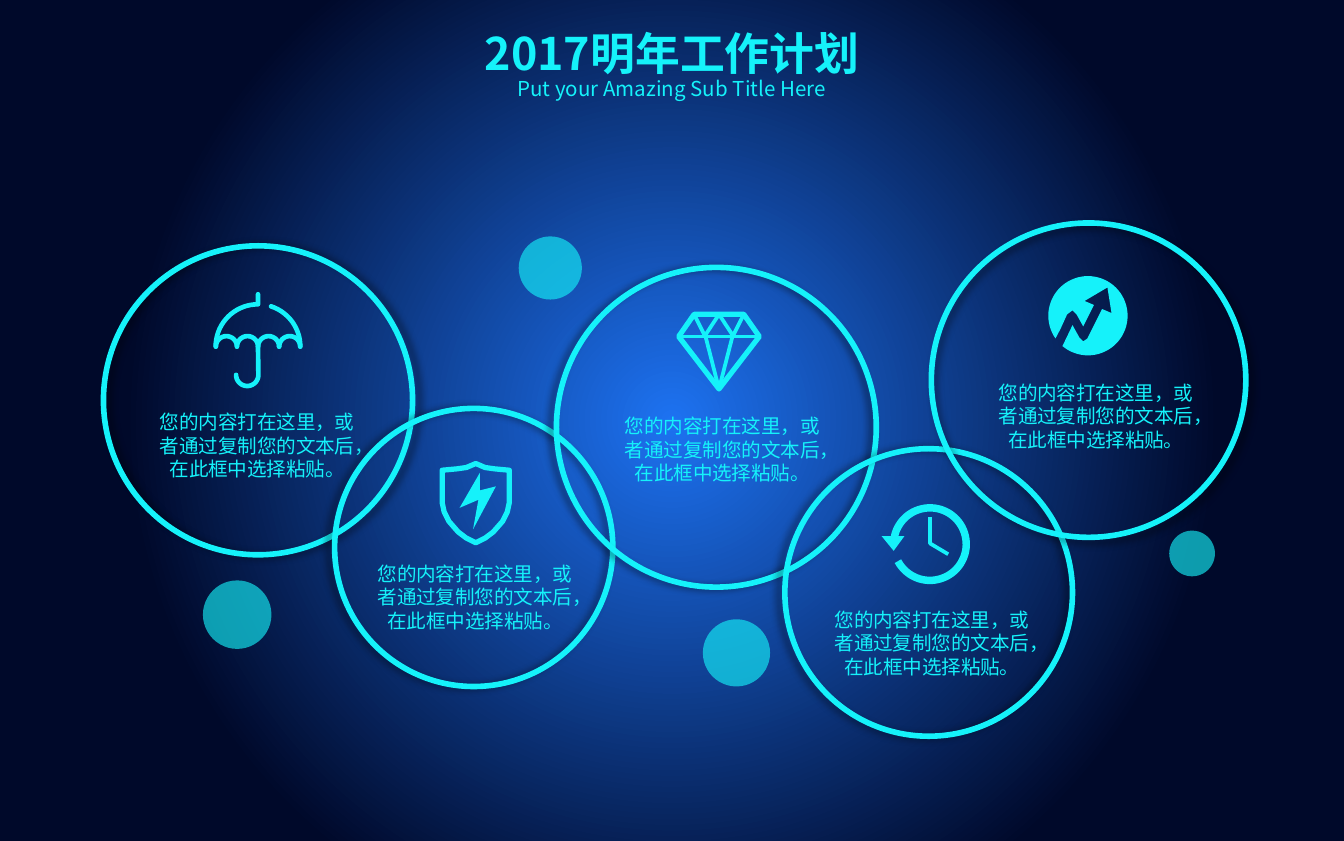
import math

from lxml import etree
from pptx import Presentation
from pptx.dml.color import RGBColor
from pptx.enum import shapes as kinds, text as align
from pptx.oxml import ns
from pptx.util import Inches, Pt

COLORS = {"cyan": "15F2FA", "glow": "1D72F1", "night": "00092A", "shadow": "000000"}
FONT = "Noto Sans CJK SC"
GOAL_TEXT = "您的内容打在这里，或者通过复制您的文本后，在此框中选择粘贴。"
LABEL_WIDTH, LABEL_HEIGHT = 1.77, 0.63


def rgb(name):
    return RGBColor.from_string(COLORS[name])


def add_xml(parent, tag, **attributes):
    return etree.SubElement(parent, ns.qn(tag), attributes)


def place(shape, left, top, width, height):
    shape.left, shape.top = Inches(left), Inches(top)
    shape.width, shape.height = Inches(width), Inches(height)


def write_text(shape, text, size, bold=False, inset=0.0, spacing=None):
    frame = shape.text_frame
    frame.word_wrap = True
    frame.auto_size = align.MSO_AUTO_SIZE.NONE
    frame.vertical_anchor = align.MSO_ANCHOR.MIDDLE
    frame.margin_left = frame.margin_right = Inches(inset)
    frame.margin_top = frame.margin_bottom = Inches(inset / 2)
    paragraph = frame.paragraphs[0]
    paragraph.alignment = align.PP_ALIGN.CENTER
    if spacing:
        paragraph.line_spacing = Pt(spacing)
    run = paragraph.add_run()
    run.text = text
    run.font.size, run.font.bold = Pt(size), bold
    run.font.color.rgb = rgb("cyan")
    run.font.name = FONT
    add_xml(run.font._element, "a:ea", typeface=FONT)


def add_circle(canvas, left, top, size):
    circle = canvas.add_shape(kinds.MSO_SHAPE.OVAL, Inches(left), Inches(top),
                              Inches(size), Inches(size))
    circle.shadow.inherit = False
    return circle


def add_outline(canvas, left, top, contours, stroke=None, cap="flat"):
    """Draw contours relative to (left, top): filled, or open lines if stroke is set."""
    def emu(points):
        return [(Inches(left + x), Inches(top + y)) for x, y in points]

    builder = None
    for contour in contours:
        first, *rest = emu(contour)
        if builder is None:
            builder = canvas.build_freeform(*first)
        else:
            builder.move_to(*first)
        builder.add_line_segments(rest, close=stroke is None)
    outline = builder.convert_to_shape()
    outline.shadow.inherit = False
    if stroke is None:
        outline.fill.solid()
        outline.fill.fore_color.rgb = rgb("cyan")
        outline.line.fill.background()
    else:
        outline.fill.background()
        outline.line.color.rgb = rgb("cyan")
        outline.line.width = Pt(stroke)
        line = outline.line._get_or_add_ln()
        line.set("cap", cap)
        add_xml(line, "a:round")


def arc(x, y, radius, start, end):
    steps = max(12, abs(end - start) // 5)
    angles = [math.radians(start + (end - start) * i / steps) for i in range(steps + 1)]
    return [(x + radius * math.cos(a), y + radius * math.sin(a)) for a in angles]


# Icons, each relative to the corner of its box
def umbrella(canvas, left, top):
    canopy = [[(0.33, 0.02)] + arc(0.33, 0.41, 0.315, 270, 180),
              arc(0.33, 0.41, 0.315, 288, 360)]
    scallops = [arc(0.095 + 0.157 * i, 0.41, 0.078, 180, 360) for i in range(4)]
    handle = [(0.33, 0.41)] + arc(0.25, 0.62, 0.083, 0, 180)
    add_outline(canvas, left, top, [*canopy, *scallops, handle], stroke=2.5, cap="rnd")


def shield(canvas, left, top):
    half = [(0.27, 0.03), (0.2, 0.06), (0.13, 0.07), (0.02, 0.08), (0.02, 0.32),
            (0.035, 0.39), (0.07, 0.46), (0.14, 0.54), (0.2, 0.585), (0.27, 0.62)]
    mirrored = [(0.54 - x, y) for x, y in reversed(half)]
    add_outline(canvas, left, top, [half + mirrored], stroke=2.8)
    add_outline(canvas, left, top, [[(0.3, 0.1), (0.15, 0.36), (0.29, 0.3), (0.25, 0.52),
                                     (0.42, 0.2), (0.3, 0.23)]])


def diamond(canvas, left, top):
    girdle_left, girdle_right, tip = (0.02, 0.185), (0.62, 0.185), (0.32, 0.575)
    crown_left, crown_right = (0.135, 0.02), (0.505, 0.02)
    add_outline(canvas, left, top, [[girdle_left, crown_left, crown_right, girdle_right,
                                     tip, girdle_left]], stroke=2.8)
    facets = [[girdle_left, girdle_right],
              [crown_left, (0.215, 0.18), (0.32, 0.02), (0.425, 0.18), crown_right],
              [(0.22, 0.185), tip, (0.42, 0.185)]]
    add_outline(canvas, left, top, facets, stroke=2)


def clock(canvas, left, top):
    add_outline(canvas, left, top, [arc(0.36, 0.3, 0.27, 192, 512)], stroke=4)
    add_outline(canvas, left, top, [[(0, 0.24), (0.17, 0.24), (0.09, 0.35)]])
    add_outline(canvas, left, top, [[(0.36, 0.1), (0.36, 0.295), (0.495, 0.375)]], stroke=2)


def growth(canvas, left, top):
    arrow = [(0.18, 0.37), (0.23, 0.46), (0.26, 0.49), (0.29, 0.47), (0.33, 0.39),
             (0.4, 0.25), (0.47, 0.28), (0.44, 0.09), (0.27, 0.19), (0.34, 0.22),
             (0.26, 0.38), (0.21, 0.29), (0.18, 0.26), (0.14, 0.29), (0.09, 0.4)]
    add_outline(canvas, left, top, [arc(0.295, 0.3, 0.295, 145, 490) + arrow])


# Circle left, top, size; shadow angle; icon; icon and label offsets in the circle
GOALS = [
    (0.77, 1.83, 2.3, 0, umbrella, (0.82, 0.34), (0.26, 1.17)),
    (2.49, 3.04, 2.07, 180, shield, (0.78, 0.38), (0.16, 1.09)),
    (4.14, 1.99, 2.38, 180, diamond, (0.89, 0.33), (0.35, 1.04)),
    (5.84, 3.34, 2.14, 180, clock, (0.72, 0.41), (0.21, 1.13)),
    (6.93, 1.66, 2.34, 45, growth, (0.87, 0.39), (0.34, 1.12)),
]
BUBBLES = [(3.86, 1.76, 0.47), (8.7, 3.95, 0.34), (5.23, 4.61, 0.5), (1.51, 4.32, 0.51)]


def add_background(slide):
    fill = slide.background.fill
    fill.gradient()
    gradient = slide.element.xpath(".//p:bgPr/a:gradFill")[0]
    for child in list(gradient):
        gradient.remove(child)
    stops = add_xml(gradient, "a:gsLst")
    for position, name in ((0, "glow"), (69, "night")):
        stop = add_xml(stops, "a:gs", pos=str(position * 1000))
        add_xml(stop, "a:srgbClr", val=COLORS[name])
    focus = add_xml(gradient, "a:path", path="circle")
    add_xml(focus, "a:fillToRect", **dict.fromkeys("ltrb", "50000"))


def add_heading(slide, left, top, width):
    title = slide.shapes.title
    place(title, left, top, width, 0.4)
    write_text(title, "2017明年工作计划", 24, bold=True)
    subtitle = slide.shapes.add_textbox(0, 0, 0, 0)
    place(subtitle, left, top + 0.38, width, 0.18)
    write_text(subtitle, "Put your Amazing Sub Title Here", 11)


def add_bubble(slide, left, top, size):
    bubble = add_circle(slide.shapes, left, top, size)
    bubble.fill.solid()
    bubble.fill.fore_color.rgb = rgb("cyan")
    bubble.line.fill.background()
    color = bubble.element.xpath("./p:spPr/a:solidFill/a:srgbClr")[0]
    add_xml(color, "a:alpha", val="63000")


def add_goal(slide, left, top, size, shadow_angle, draw_icon, icon_offset, label_offset):
    goal = slide.shapes.add_group_shape().shapes
    ring = add_circle(goal, left, top, size)
    ring.fill.background()
    ring.line.color.rgb = rgb("cyan")
    ring.line.width = Pt(3)
    effects = ring.element.xpath("./p:spPr/a:effectLst")[0]
    shadow = add_xml(effects, "a:outerShdw", blurRad=str(Pt(4)), dist=str(Pt(3)),
                     dir=str(shadow_angle * 60000), algn="ctr", rotWithShape="0")
    add_xml(add_xml(shadow, "a:srgbClr", val=COLORS["shadow"]), "a:alpha", val="40000")

    draw_icon(goal, left + icon_offset[0], top + icon_offset[1])
    label = goal.add_textbox(Inches(left + label_offset[0]), Inches(top + label_offset[1]),
                             Inches(LABEL_WIDTH), Inches(LABEL_HEIGHT))
    write_text(label, GOAL_TEXT, 10.5, inset=0.1, spacing=12.6)


def main():
    deck = Presentation()
    deck.slide_width, deck.slide_height = Inches(10), Inches(6.26)
    slide = deck.slides.add_slide(deck.slide_layouts[5])
    add_background(slide)
    add_heading(slide, 2.05, 0.19, 5.9)
    for bubble in BUBBLES:
        add_bubble(slide, *bubble)
    for goal in GOALS:
        add_goal(slide, *goal)
    deck.save("out.pptx")


if __name__ == "__main__":
    main()
